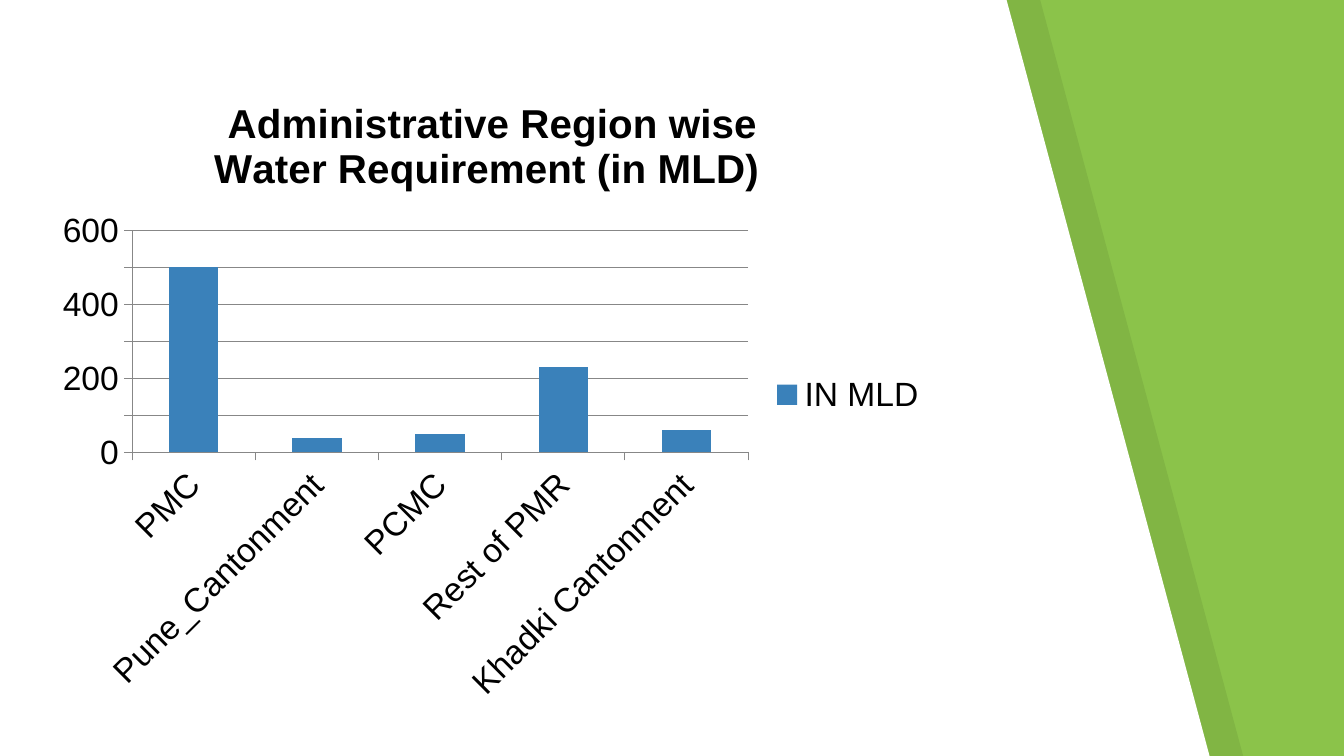
import pptx
import pptx.chart.data
import pptx.dml.color
import pptx.enum.chart
import pptx.util
from lxml import etree

RGB = pptx.dml.color.RGBColor
GREEN, BLUE = RGB(0x8B, 0xC3, 0x4A), RGB(0x3A, 0x81, 0xBA)
WHITE, BLACK, GREY = RGB(255, 255, 255), RGB(0, 0, 0), RGB(0x87, 0x87, 0x87)
WIDE = 10
HIGH = WIDE * 9 / 16
SLANT = 7.49 / 9
inch = pptx.util.Inches
NEEDS = {"PMC": 500, "Pune_Cantonment": 40, "PCMC": 50,
         "Rest of PMR": 230, "Khadki Cantonment": 60}
TEXT = {"name": "Arial", "size": pptx.util.Pt(18), "bold": False}
TITLE = {"name": "Arial", "size": pptx.util.Pt(21.6), "bold": True}
LINE = {"width": pptx.util.Pt(0.5)}


def style(item, form, tint=BLACK):
    """Set each format value and the colour on a font or line."""
    for key, value in form.items():
        setattr(item, key, value)
    item.color.rgb = tint


def panel(slide, box, tint, alpha=None):
    """Draw a panel that fills the box and has a slanted right edge."""
    left, top, width, height = box
    pen = slide.shapes.build_freeform(inch(left), inch(top), scale=1.0)
    spots = [(0, 1), (1, 1), (SLANT, 0)]
    pen.add_line_segments([(inch(left + x * width), inch(top + y * height))
                           for x, y in spots], close=True)
    shape = pen.convert_to_shape()
    shape.shadow.inherit = False
    shape.line.fill.background()
    shape.fill.solid()
    shape.fill.fore_color.rgb = tint
    if alpha is not None:
        mark = shape.fill._xPr.find(".//" + pptx.oxml.ns.qn("a:srgbClr"))
        etree.SubElement(mark, pptx.oxml.ns.qn("a:alpha"), val=str(alpha * 1000))


def graph(slide, box):
    """Place the column chart of water needs in the box."""
    kinds = pptx.enum.chart
    data = pptx.chart.data.CategoryChartData()
    data.categories = list(NEEDS)
    data.add_series("IN MLD", list(NEEDS.values()))
    chart = slide.shapes.add_chart(
        kinds.XL_CHART_TYPE.COLUMN_CLUSTERED, *map(inch, box), data).chart
    style(chart.font, TEXT)
    chart.has_title = chart.has_legend = True
    frame = chart.chart_title.text_frame
    frame.text = "Administrative Region wise\nWater Requirement (in MLD) "
    for para in frame.paragraphs:
        for run in para.runs:
            style(run.font, TITLE)
    chart.chart_title.include_in_layout = False
    chart.legend.position = kinds.XL_LEGEND_POSITION.RIGHT
    chart.legend.include_in_layout = False
    style(chart.legend.font, TEXT)
    plot = chart.plots[0]
    plot.gap_width, plot.vary_by_categories = 150, False
    fill = plot.series[0].format.fill
    fill.solid()
    fill.fore_color.rgb = BLUE
    for axis in (chart.category_axis, chart.value_axis):
        axis.major_tick_mark = kinds.XL_TICK_MARK.OUTSIDE
        style(axis.format.line, LINE, GREY)
        style(axis.tick_labels.font, TEXT)
    style(chart.value_axis.major_gridlines.format.line, LINE, GREY)
    body = chart.category_axis._element.find(
        pptx.oxml.ns.qn("c:txPr")).find(pptx.oxml.ns.qn("a:bodyPr"))
    body.set("rot", "-2700000")


def main():
    """Build and save the slide."""
    deck = pptx.Presentation()
    deck.slide_width, deck.slide_height = inch(WIDE), inch(HIGH)
    slide = deck.slides.add_slide(deck.slide_layouts[6])
    back = slide.background.fill
    back.solid()
    back.fore_color.rgb = GREEN
    panel(slide, (0.25, 0, 0.9 * WIDE, HIGH), BLACK, 7)
    panel(slide, (0, 0, 0.9 * WIDE, HIGH), WHITE)
    graph(slide, (WIDE / 30, HIGH / 10, WIDE * 2 / 3, 4.75))
    deck.save("out.pptx")


if __name__ == "__main__":
    main()
